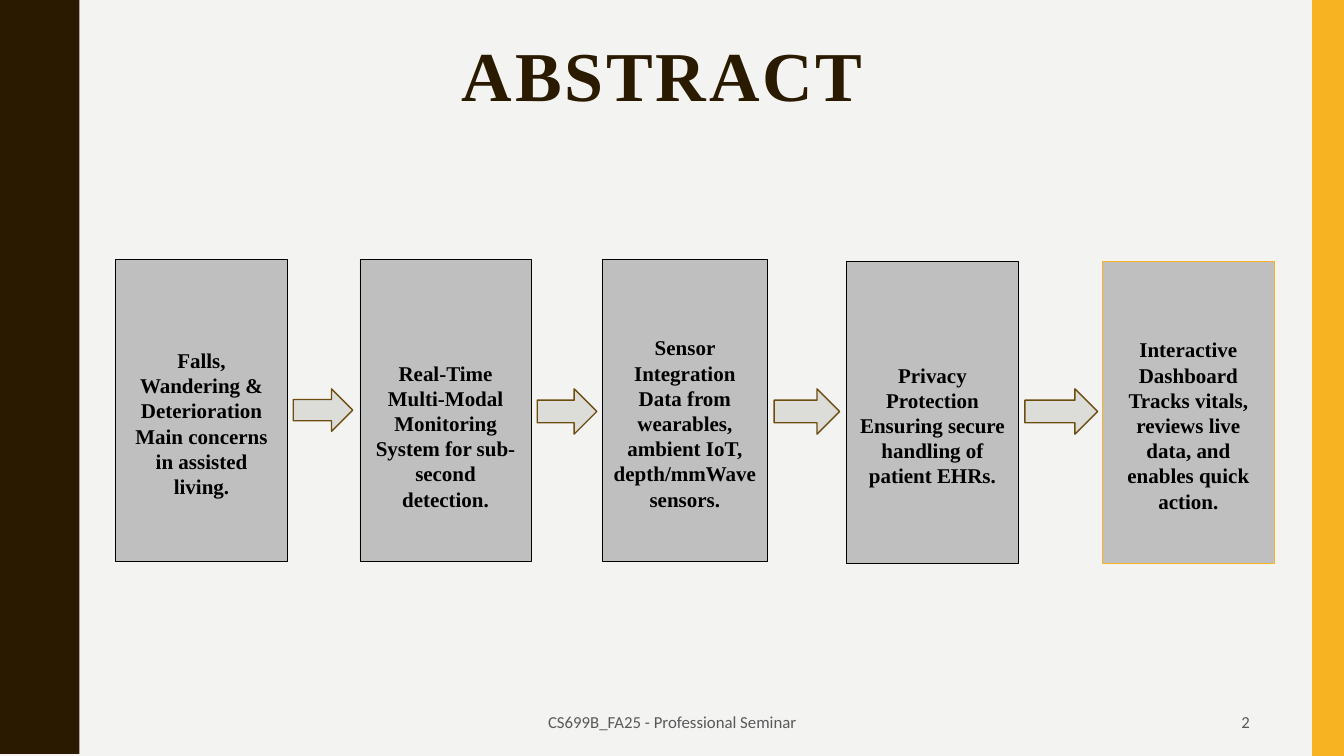
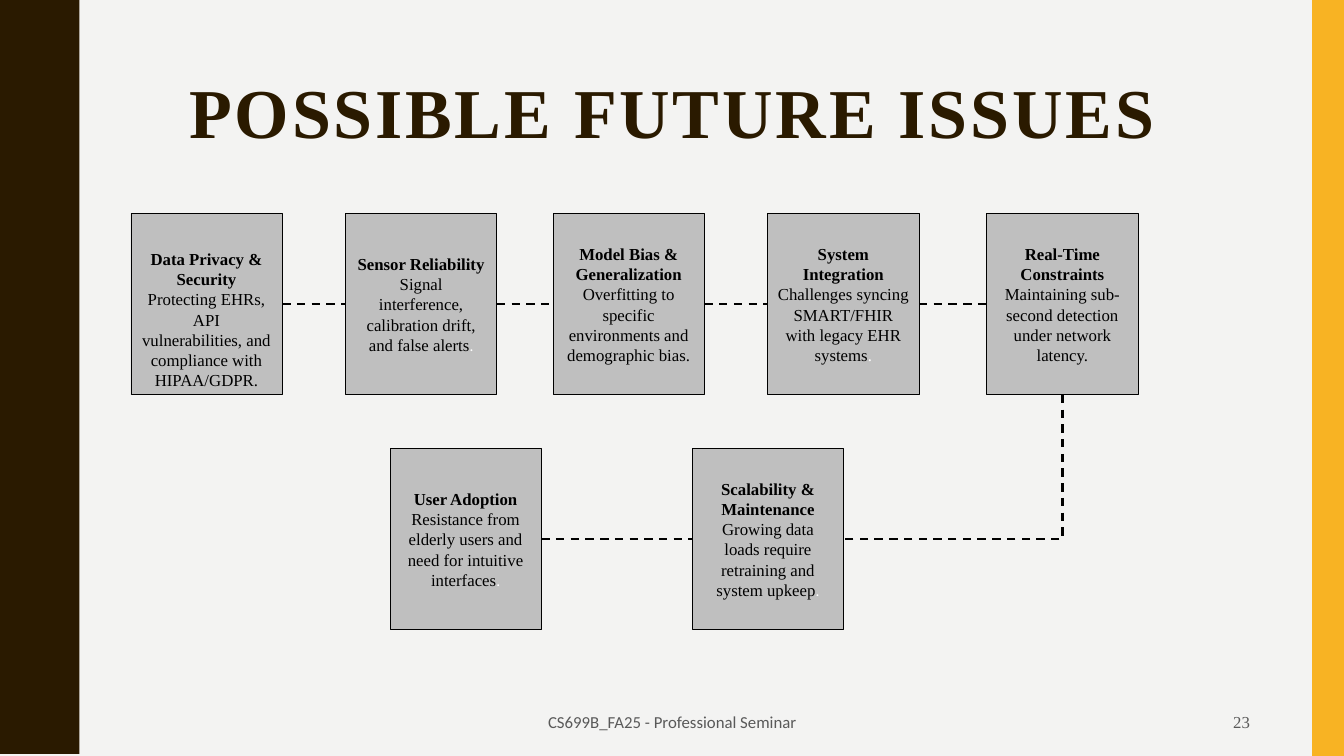
from itertools import pairwise

from lxml import etree
from pptx import Presentation
from pptx.dml.color import RGBColor
from pptx.enum.dml import MSO_LINE_DASH_STYLE as DASH
from pptx.enum.shapes import MSO_CONNECTOR as CONN, MSO_SHAPE as SHAPE
from pptx.enum.text import MSO_ANCHOR as ANCHOR, PP_ALIGN as ALIGN
from pptx.oxml.ns import qn
from pptx.util import Cm, Pt

COLORS = {
    "paper": "F3F3F2", "brown": "2A1A00", "gold": "F8B323", "box": "BFBFBF",
    "arrow": "DCDCD9", "arrow_line": "6D4E0F", "black": "000000",
    "white": "FFFFFF", "footer": "595959",
}
SERIF, SANS = "Times New Roman", "Calibri"
SLIDE_W, SLIDE_H = 33.87, 19.05
FOOTER = "CS699B_FA25 - Professional Seminar"

# Wavy band: the first quarter of one wave, as x and y in cm
WAVE_PERIOD, WAVE_X_SUM = 3.81, 4.44
WAVE_QUARTER = [(1.98, 0), (1.98, 0.18), (2.01, 0.36), (2.03, 0.51),
                (2.06, 0.64), (2.11, 0.74), (2.16, 0.84), (2.22, 0.95)]

# Abstract: left, top, width, extra top inset, outline, paragraphs
STEP_H = 7.62
STEPS = [
    (2.92, 6.53, 4.32, 0.64, "black",
     ["Falls, Wandering & Deterioration", "Main concerns in assisted living."]),
    (9.07, 6.53, 4.32, 1.27, "black",
     ["Real-Time Multi-Modal Monitoring System for sub-second detection."]),
    (15.19, 6.53, 4.14, 0.64, "black",
     ["Sensor Integration",
      "Data from wearables, ambient IoT, depth/mmWave sensors."]),
    (21.34, 6.58, 4.32, 0.64, "black",
     ["Privacy Protection", "Ensuring secure handling of patient EHRs."]),
    (27.79, 6.58, 4.32, 0.64, "gold",
     ["Interactive Dashboard",
      "Tracks vitals, reviews live data, and enables quick action."]),
]
STEP_ARROWS = [(7.39, 1.5, 1.07), (13.54, 1.5, 1.14),
               (19.51, 1.65, 1.14), (25.83, 1.83, 1.14)]

# Issues: left, heading, body, font of a white full stop (if any)
ISSUE_W, ISSUE_H = 3.81, 4.57
SMALL_STOP, SERIF_STOP = (SANS, 11), (SERIF, 12)
TOP_ISSUES = [
    (3.3, "Data Privacy & Security",
     "Protecting EHRs, API vulnerabilities, and compliance with HIPAA/GDPR.",
     None),
    (8.71, "Sensor Reliability",
     "Signal interference, calibration drift, and false alerts", SMALL_STOP),
    (13.94, "Model Bias & Generalization",
     "Overfitting to specific environments and demographic bias.", None),
    (19.35, "System Integration",
     "Challenges syncing SMART/FHIR with legacy EHR systems", SERIF_STOP),
    (24.87, "Real-Time Constraints",
     "Maintaining sub-second detection under network latency.", None),
]
LOWER_ISSUES = [
    (9.83, "User Adoption",
     "Resistance from elderly users and need for intuitive interfaces",
     SMALL_STOP),
    (17.45, "Scalability & Maintenance",
     "Growing data loads require retraining and system upkeep", SMALL_STOP),
]


def rgb(name):
    return RGBColor.from_string(COLORS[name])


def style_font(font, name, size, color, bold=False):
    font.name, font.size, font.bold = name, Pt(size), bold
    font.color.rgb = rgb(color)


def style_shape(sp, fill, line=None, width=0.5):
    sp.shadow.inherit = False
    sp.fill.solid()
    sp.fill.fore_color.rgb = rgb(fill)
    if line:
        sp.line.color.rgb = rgb(line)
        sp.line.width = Pt(width)
    else:
        sp.line.fill.background()


def add_preset(slide, kind, left, top, width, height, fill, line=None,
               line_width=0.5):
    sp = slide.shapes.add_shape(kind, Cm(left), Cm(top), Cm(width), Cm(height))
    style_shape(sp, fill, line, line_width)
    return sp


def add_wave(slide):
    half = WAVE_QUARTER + [(WAVE_X_SUM - x, WAVE_PERIOD / 2 - y)
                           for x, y in reversed(WAVE_QUARTER[:-1])]
    wave = half + [(x, WAVE_PERIOD - y) for x, y in reversed(half[:-1])]
    points = [(x, y + n * WAVE_PERIOD) for n in range(5) for x, y in wave]
    builder = slide.shapes.build_freeform(0, 0, scale=Cm(1))
    builder.add_line_segments(points + [(0, SLIDE_H)], close=True)
    sp = builder.convert_to_shape()
    style_shape(sp, "brown")
    return sp


def decorate_layout(layout, slide):
    """Put the background and the side bands on the shared layout."""
    layout.background.fill.solid()
    layout.background.fill.fore_color.rgb = rgb("paper")
    gold = add_preset(slide, SHAPE.RECTANGLE, 33.07, 0, 0.8, SLIDE_H, "gold")
    for sp in (gold, add_wave(slide)):
        layout.shapes._spTree.insert(2, sp._element)


def set_title(slide, text, left, top, height):
    sp = slide.shapes.title
    sp.left, sp.top, sp.width, sp.height = map(Cm, (left, top, 30.99, height))
    tf = sp.text_frame
    tf.text = text
    tf.word_wrap, tf.vertical_anchor = True, ANCHOR.TOP
    p = tf.paragraphs[0]
    p.alignment, p.line_spacing = ALIGN.CENTER, 0.9
    r = p.runs[0]
    style_font(r.font, SERIF, 50, "brown", True)
    r._r.get_or_add_rPr().set("spc", "200")


def add_label(slide, text, left, width, align, font):
    sp = slide.shapes.add_textbox(Cm(left), Cm(17.7), Cm(width), Cm(0.97))
    tf = sp.text_frame
    tf.text = text
    tf.word_wrap, tf.vertical_anchor = True, ANCHOR.MIDDLE
    p = tf.paragraphs[0]
    p.alignment = align
    style_font(p.runs[0].font, font, 12, "footer")


def add_footer(slide, number, number_font):
    add_label(slide, FOOTER, 11.23, 11.43, ALIGN.CENTER, SANS)
    add_label(slide, number, 23.93, 7.82, ALIGN.RIGHT, number_font)


def add_text_box(slide, place, paragraphs, size, inset=0, line="black"):
    """Grey box; paragraphs are (text, bold) pairs."""
    sp = add_preset(slide, SHAPE.RECTANGLE, *place, "box", line)
    tf = sp.text_frame
    tf.word_wrap, tf.vertical_anchor = True, ANCHOR.MIDDLE
    tf.margin_top = Cm(0.13 + inset)
    for i, (text, bold) in enumerate(paragraphs):
        p = tf.add_paragraph() if i else tf.paragraphs[0]
        p.text = text
        p.alignment = ALIGN.CENTER
        style_font(p.runs[0].font, SERIF, size, "black", bold)
    return sp


def add_issue(slide, issue, top, inset=0):
    left, heading, body, stop = issue
    sp = add_text_box(slide, (left, top, ISSUE_W, ISSUE_H),
                      [(heading, True), (body, False)], 12, inset)
    if stop:
        r = sp.text_frame.paragraphs[-1].add_run()
        r.text = "."
        style_font(r.font, *stop, "white")
    return sp


def add_link(slide, start, start_side, end, end_side, kind=CONN.STRAIGHT):
    link = slide.shapes.add_connector(kind, 0, 0, 0, 0)
    link.begin_connect(start, start_side)
    link.end_connect(end, end_side)
    link.line.color.rgb = rgb("black")
    link.line.width = Pt(1.5)
    link.line.dash_style = DASH.DASH
    etree.SubElement(link._element.spPr, qn("a:effectLst"))
    return link


def add_corner_link(slide, start, end):
    """Run down from the start's bottom, then left to the end's right side."""
    link = add_link(slide, start, 2, end, 3, CONN.ELBOW)
    x1, y1, x2, y2 = link.begin_x, link.begin_y, link.end_x, link.end_y
    drop, run = y2 - y1, x1 - x2
    spPr = link._element.spPr
    spPr.find(qn("a:prstGeom")).set("prst", "bentConnector2")
    xfrm = spPr.find(qn("a:xfrm"))
    xfrm.attrib.clear()
    xfrm.set("rot", "5400000")
    link.left, link.top = (x1 + x2 - drop) // 2, (y1 + y2 - run) // 2
    link.width, link.height = drop, run


def build_abstract(slide):
    set_title(slide, "ABSTRACT", 1.2, 0.91, 2.79)
    add_footer(slide, "2", SANS)
    for left, top, width, inset, line, texts in STEPS:
        add_text_box(slide, (left, top, width, STEP_H),
                     [(text, True) for text in texts], 15, inset, line)
    for left, width, height in STEP_ARROWS:
        add_preset(slide, SHAPE.RIGHT_ARROW, left, 9.8, width, height,
                   "arrow", "arrow_line", 1)


def build_issues(slide):
    set_title(slide, "POSSIBLE FUTURE ISSUES", 1.45, 1.85, 1.96)
    add_footer(slide, "23", SERIF)
    upper = [add_issue(slide, issue, 5.38, 0 if i else 0.76)
             for i, issue in enumerate(TOP_ISSUES)]
    lower = [add_issue(slide, issue, 11.3) for issue in LOWER_ISSUES]
    for row in (upper, lower):
        for start, end in pairwise(row):
            add_link(slide, start, 3, end, 1)
    add_corner_link(slide, upper[-1], lower[-1])


def main():
    prs = Presentation()
    prs.slide_width, prs.slide_height = Cm(SLIDE_W), Cm(SLIDE_H)
    layout = prs.slide_layouts[5]  # title only
    abstract, issues = (prs.slides.add_slide(layout) for _ in range(2))
    decorate_layout(layout, abstract)
    build_abstract(abstract)
    build_issues(issues)
    prs.save("out.pptx")


if __name__ == "__main__":
    main()
